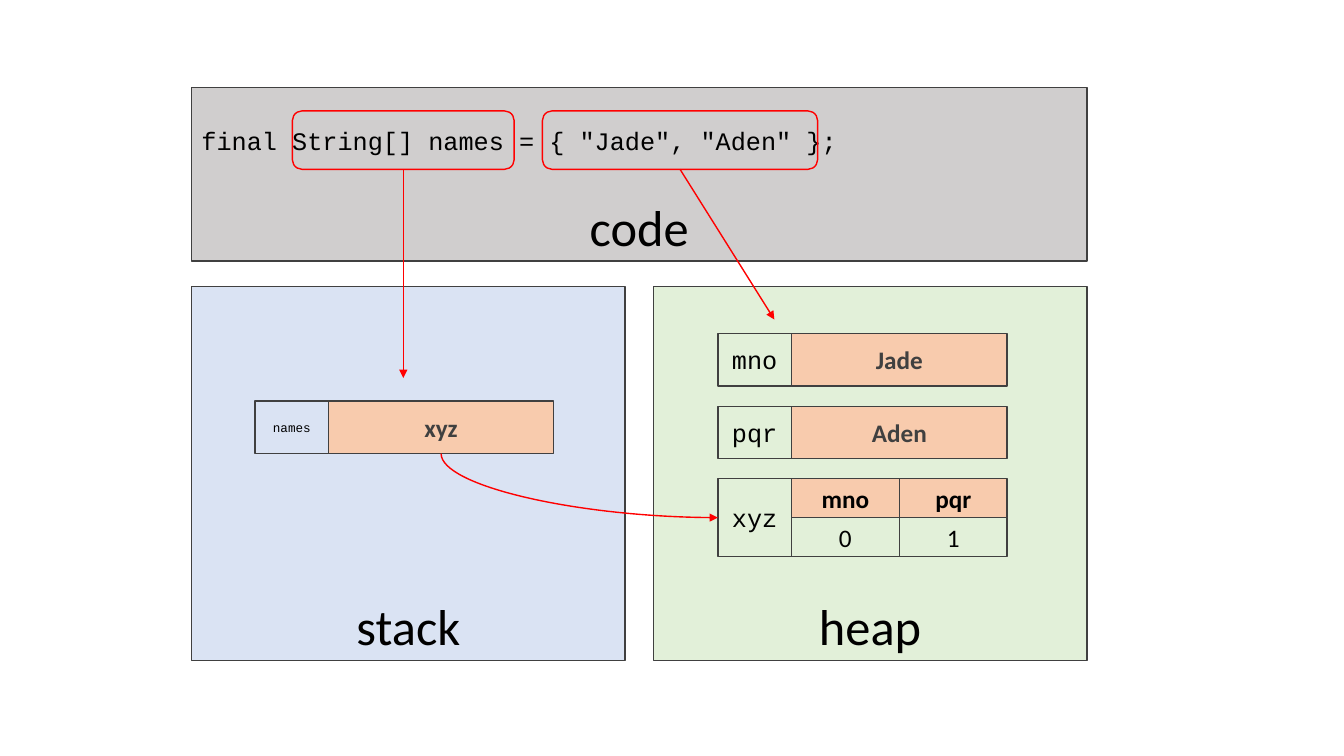
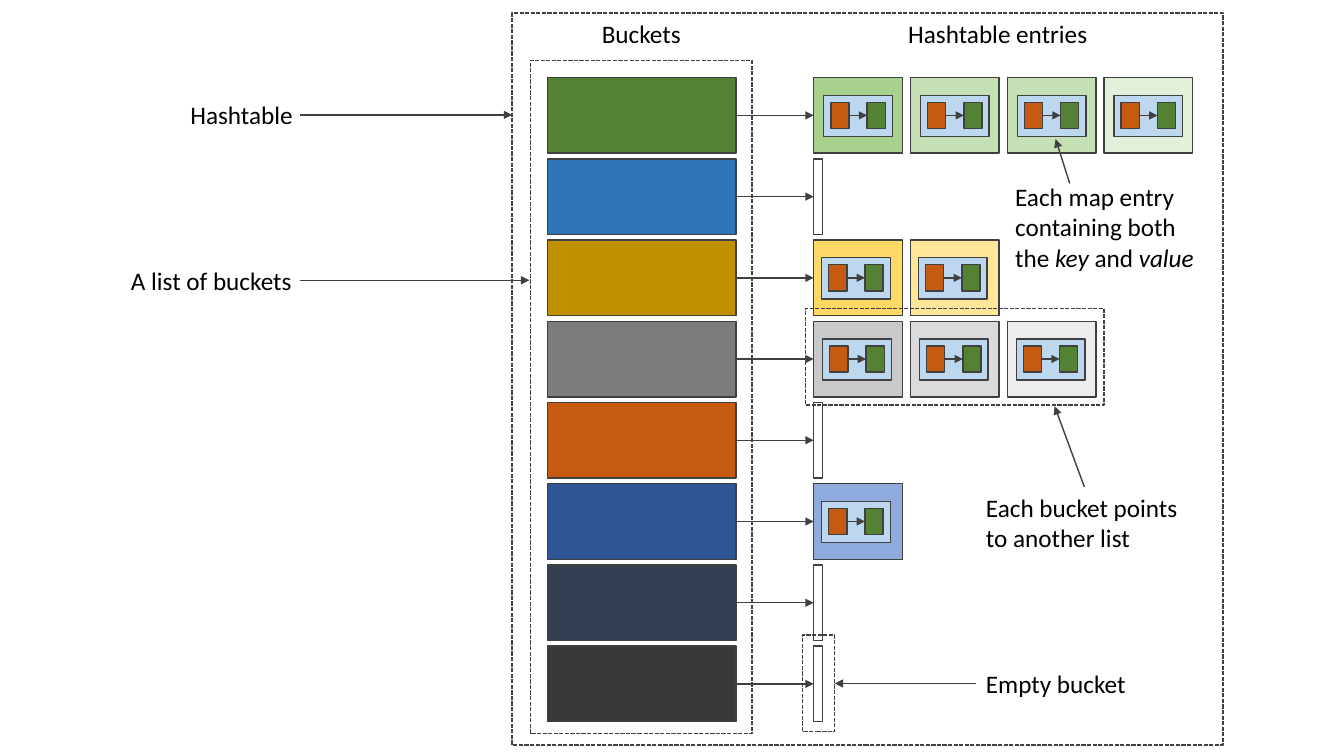
from lxml import etree
from pptx import Presentation
from pptx.dml.color import RGBColor
from pptx.enum.dml import MSO_LINE
from pptx.enum.shapes import MSO_CONNECTOR, MSO_SHAPE
from pptx.enum.text import MSO_ANCHOR, MSO_AUTO_SIZE, PP_ALIGN
from pptx.oxml.ns import qn
from pptx.util import Inches, Pt

RECTANGLE, ROUNDED = MSO_SHAPE.RECTANGLE, MSO_SHAPE.ROUNDED_RECTANGLE
STRAIGHT, CURVE = MSO_CONNECTOR.STRAIGHT, MSO_CONNECTOR.CURVE
MIDDLE, BOTTOM_ANCHOR = MSO_ANCHOR.MIDDLE, MSO_ANCHOR.BOTTOM
CENTER, DASH = PP_ALIGN.CENTER, MSO_LINE.SQUARE_DOT
FIT_TEXT = MSO_AUTO_SIZE.SHAPE_TO_FIT_TEXT
TOP, LEFT, BOTTOM, RIGHT = range(4)  # connection sites

# Shared style
BODY_FONT, CODE_FONT = "Calibri", "Courier New"
BLACK = RGBColor(0x00, 0x00, 0x00)
OUTLINE = RGBColor(0x40, 0x40, 0x40)
RED = RGBColor(0xFF, 0x00, 0x00)
PEACH = RGBColor(0xF8, 0xCB, 0xAD)
PALE_GREY = RGBColor(0xD0, 0xCE, 0xCE)
PALE_GREEN = RGBColor(0xE2, 0xF0, 0xD9)
PALE_BLUE = RGBColor(0xDA, 0xE3, 0xF3)
GREEN = RGBColor(0x54, 0x82, 0x35)
ORANGE = RGBColor(0xC5, 0x5A, 0x11)
SKY = RGBColor(0xBD, 0xD7, 0xEE)
BLUE = RGBColor(0x2E, 0x75, 0xB6)
GOLD = RGBColor(0xBF, 0x90, 0x00)
GREY = RGBColor(0x7C, 0x7C, 0x7C)
NAVY = RGBColor(0x2F, 0x55, 0x97)
SLATE = RGBColor(0x33, 0x3F, 0x50)
CHARCOAL = RGBColor(0x3B, 0x38, 0x38)
GREEN_TINTS = [RGBColor(0xA9, 0xD1, 0x8E), RGBColor(0xC5, 0xE0, 0xB4),
               RGBColor(0xC5, 0xE0, 0xB4), PALE_GREEN]
GOLD_TINTS = [RGBColor(0xFF, 0xD9, 0x66), RGBColor(0xFF, 0xE6, 0x99)]
GREY_TINTS = [RGBColor(0xC9, 0xC9, 0xC9), RGBColor(0xDB, 0xDB, 0xDB),
              RGBColor(0xED, 0xED, 0xED)]
NAVY_TINTS = [RGBColor(0x8F, 0xAA, 0xDC)]

# Memory slide: label, box, fill
AREAS = [
    ("code", (1.9, 0.87, 8.88, 1.72), PALE_GREY),
    ("heap", (6.48, 2.84, 4.3, 3.71), PALE_GREEN),
    ("stack", (1.9, 2.84, 4.3, 3.71), PALE_BLUE),
]
CODE_LINE = 'final String[] names = { "Jade", "Aden" };'
# address, value, left, top, value width, address size
VARIABLES = [
    ("names", "xyz", 2.53, 3.98, 2.23, 9),
    ("mno", "Jade", 7.12, 3.31, 2.14, 18),
    ("pqr", "Aden", 7.12, 4.03, 2.14, 18),
]
ADDRESS_WIDTH, VARIABLE_HEIGHT = 0.73, 0.52
ARRAY_ADDRESS = "xyz"
ARRAY_CELLS = [("mno", "pqr"), ("0", "1")]
ARRAY_LEFT, ARRAY_TOP, CELL_WIDTH, CELL_HEIGHT = 7.12, 4.75, 1.07, 0.385
# highlighted part of the code line, arrow tip
HIGHLIGHTS = [
    ((2.9, 1.1, 2.2, 0.58), (4, 3.75)),
    ((5.38, 1.1, 2.73, 0.58), (7.68, 3.17)),
]

# Hashtable slide: bucket colour, entry tints, left inset of the key-value pair
BUCKETS = [
    (GREEN, GREEN_TINTS, 0.1),
    (BLUE, [], 0),
    (GOLD, GOLD_TINTS, 0.08),
    (GREY, GREY_TINTS, 0.09),
    (ORANGE, [], 0),
    (NAVY, NAVY_TINTS, 0.08),
    (SLATE, [], 0),
    (CHARCOAL, [], 0),
]
BUCKET_LEFT, BUCKET_WIDTH, ROW_HEIGHT = 5.43, 1.87, 0.75
FIRST_ROW, LAST_ROW = 0.77, 6.41
ROW_PITCH = (LAST_ROW - FIRST_ROW) / (len(BUCKETS) - 1)
ENTRY_LEFT, ENTRY_WIDTH, ENTRY_PITCH, EMPTY_WIDTH = 8.07, 0.88, 0.96, 0.09
PAIR_TOP, PAIR_WIDTH, PAIR_HEIGHT = 0.175, 0.68, 0.41
FRAMES = {
    "hashtable": (5.08, 0.13, 7.05, 7.26),
    "buckets": (5.26, 0.6, 2.2, 6.68),
    "entry list": (7.99, 3.06, 2.96, 0.96),
    "empty bucket": (7.96, 6.3, 0.32, 0.96),
}
# runs as (text, italic), box, wrap
LABELS = {
    "buckets": ([("Buckets", False)], (5.87, 0.13, 0.99, 0.4), False),
    "entries": ([("Hashtable entries", False)], (8.91, 0.13, 2, 0.4), False),
    "hashtable": ([("Hashtable", False)], (1.79, 0.94, 1.23, 0.4), False),
    "list": ([("A list of buckets", False)], (1.2, 2.58, 1.81, 0.4), False),
    "pointer": ([("Each bucket points to another list", False)],
                (9.68, 4.83, 2.15, 0.71), True),
    "empty": ([("Empty bucket", False)], (9.68, 6.58, 1.6, 0.4), False),
    "entry": ([("Each map entry containing both the ", False), ("key", True),
               (" and ", False), ("value", True)],
              (9.97, 1.75, 2.04, 1.01), True),
}
FREE_ARROWS = [((2.98, 1.14), (5.08, 1.14)), ((2.98, 2.78), (5.25, 2.78)),
               ((10.61, 1.82), (10.47, 1.38))]


def style_run(run, size=18, font=BODY_FONT, color=BLACK, bold=False, italic=False):
    run.font.size, run.font.name = Pt(size), font
    run.font.color.rgb = color
    run.font.bold, run.font.italic = bold, italic


def add_box(shapes, box, fill=None, text="", anchor=MIDDLE, line=OUTLINE,
            kind=RECTANGLE, dash=None, **style):
    shape = shapes.add_shape(kind, *map(Inches, box))
    shape.shadow.inherit = False
    if fill is None:
        shape.fill.background()
    else:
        shape.fill.solid()
        shape.fill.fore_color.rgb = fill
    shape.line.color.rgb, shape.line.width = line, Pt(1)
    if dash is not None:
        shape.line.dash_style = dash
    if text:
        frame = shape.text_frame
        frame.text, frame.vertical_anchor = text, anchor
        frame.paragraphs[0].alignment = CENTER
        style_run(frame.paragraphs[0].runs[0], **style)
    return shape


def add_label(slide, runs, box, wrap=False, font=BODY_FONT):
    label = slide.shapes.add_textbox(*map(Inches, box))
    label.text_frame.word_wrap = wrap
    label.text_frame.auto_size = FIT_TEXT
    paragraph = label.text_frame.paragraphs[0]
    for text, italic in runs:
        run = paragraph.add_run()
        run.text = text
        style_run(run, font=font, italic=italic)
    return label


def add_arrow(shapes, start, end, color=OUTLINE, kind=STRAIGHT):
    """Each end is a point (x, y) or a joined side (shape, site)."""
    joined_start, joined_end = (hasattr(part[0], "shape_id") for part in (start, end))
    x1, y1 = (0, 0) if joined_start else map(Inches, start)
    x2, y2 = (0, 0) if joined_end else map(Inches, end)
    arrow = shapes.add_connector(kind, x1, y1, x2, y2)
    if joined_start:
        arrow.begin_connect(*start)
    if joined_end:
        arrow.end_connect(*end)
    arrow.line.color.rgb, arrow.line.width = color, Pt(1)
    etree.SubElement(arrow.line._get_or_add_ln(), qn("a:tailEnd"), type="triangle")
    etree.SubElement(arrow._element.spPr, qn("a:effectLst"))
    return arrow


def bend_down_then_right(arrow):
    """Turn a curved connector into a quarter curve that leaves downwards."""
    left, top, width, height = arrow.left, arrow.top, arrow.width, arrow.height
    properties = arrow._element.spPr
    properties.find(qn("a:prstGeom")).set("prst", "curvedConnector2")
    arrow.left, arrow.top = left + (width - height) // 2, top + (height - width) // 2
    arrow.width, arrow.height = height, width
    transform = properties.find(qn("a:xfrm"))
    transform.set("rot", str(270 * 60000))
    transform.set("flipH", "1")


def build_memory_slide(slide):
    shapes = slide.shapes
    for name, box, fill in AREAS:
        add_box(shapes, box, fill, name, BOTTOM_ANCHOR, size=36)

    # Variables: address cell and value cell
    values = {}
    for address, value, left, top, width, size in VARIABLES:
        values[address] = add_box(
            shapes, (left + ADDRESS_WIDTH, top, width, VARIABLE_HEIGHT), PEACH,
            value, color=OUTLINE, bold=True)
        add_box(shapes, (left, top, ADDRESS_WIDTH, VARIABLE_HEIGHT), None,
                address, size=size, font=CODE_FONT)

    # Array: address cell beside references over indexes
    array = shapes.add_group_shape().shapes
    address_cell = add_box(
        array, (ARRAY_LEFT, ARRAY_TOP, ADDRESS_WIDTH, 2 * CELL_HEIGHT), None,
        ARRAY_ADDRESS, font=CODE_FONT)
    for row, texts in enumerate(ARRAY_CELLS):
        for column, text in enumerate(texts):
            box = (ARRAY_LEFT + ADDRESS_WIDTH + column * CELL_WIDTH,
                   ARRAY_TOP + row * CELL_HEIGHT, CELL_WIDTH, CELL_HEIGHT)
            add_box(array, box, None if row else PEACH, text, bold=row == 0)
    bend_down_then_right(add_arrow(
        shapes, (values["names"], BOTTOM), (address_cell, LEFT), RED, CURVE))

    # Code line with its highlighted parts
    add_label(slide, [(CODE_LINE, False)], (1.9, 1.19, 6.53, 0.4), font=CODE_FONT)
    for box, tip in HIGHLIGHTS:
        highlight = add_box(shapes, box, line=RED, kind=ROUNDED)
        add_arrow(shapes, (highlight, BOTTOM), tip, RED)


def add_pair(slide, left, top):
    shapes = slide.shapes.add_group_shape().shapes
    add_box(shapes, (left, top, PAIR_WIDTH, PAIR_HEIGHT), SKY)
    key, value = (add_box(shapes, (left + offset, top + 0.07, 0.18, 0.26), fill)
                  for offset, fill in ((0.07, ORANGE), (0.43, GREEN)))
    add_arrow(shapes, (key, RIGHT), (value, LEFT))


def build_hashtable_slide(slide):
    shapes = slide.shapes
    # Buckets, each pointing to its entries
    for row, (color, tints, inset) in enumerate(BUCKETS):
        top = FIRST_ROW + row * ROW_PITCH
        bucket = add_box(shapes, (BUCKET_LEFT, top, BUCKET_WIDTH, ROW_HEIGHT), color)
        width = ENTRY_WIDTH if tints else EMPTY_WIDTH
        entries = []
        for column, tint in enumerate(tints or [None]):
            left = ENTRY_LEFT + column * ENTRY_PITCH
            entries.append(add_box(shapes, (left, top, width, ROW_HEIGHT), tint))
            if tints:
                add_pair(slide, left + inset, top + PAIR_TOP)
        add_arrow(shapes, (bucket, RIGHT), (entries[0], LEFT))

    # Dashed frames, labels and their arrows
    frames = {name: add_box(shapes, box, dash=DASH) for name, box in FRAMES.items()}
    labels = {name: add_label(slide, *label) for name, label in LABELS.items()}
    for start, end in FREE_ARROWS:
        add_arrow(shapes, start, end)
    add_arrow(shapes, (labels["pointer"], TOP), (10.46, 4.03))
    add_arrow(shapes, (labels["empty"], LEFT), (frames["empty bucket"], RIGHT))


def main():
    presentation = Presentation()
    presentation.slide_width, presentation.slide_height = Inches(13.33), Inches(7.5)
    blank_layout = presentation.slide_layouts[6]
    for build in (build_memory_slide, build_hashtable_slide):
        build(presentation.slides.add_slide(blank_layout))
    presentation.save("out.pptx")


if __name__ == "__main__":
    main()
